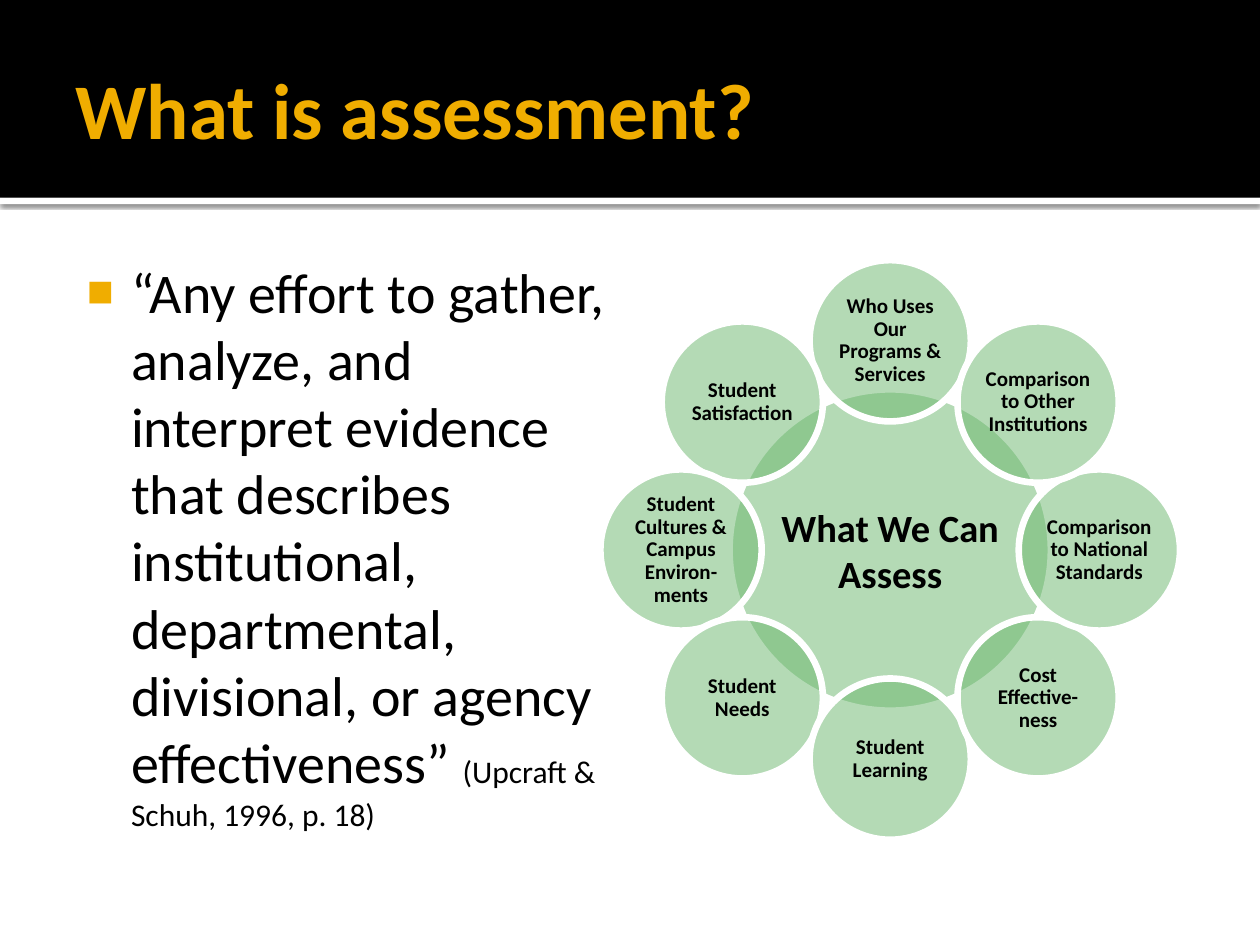
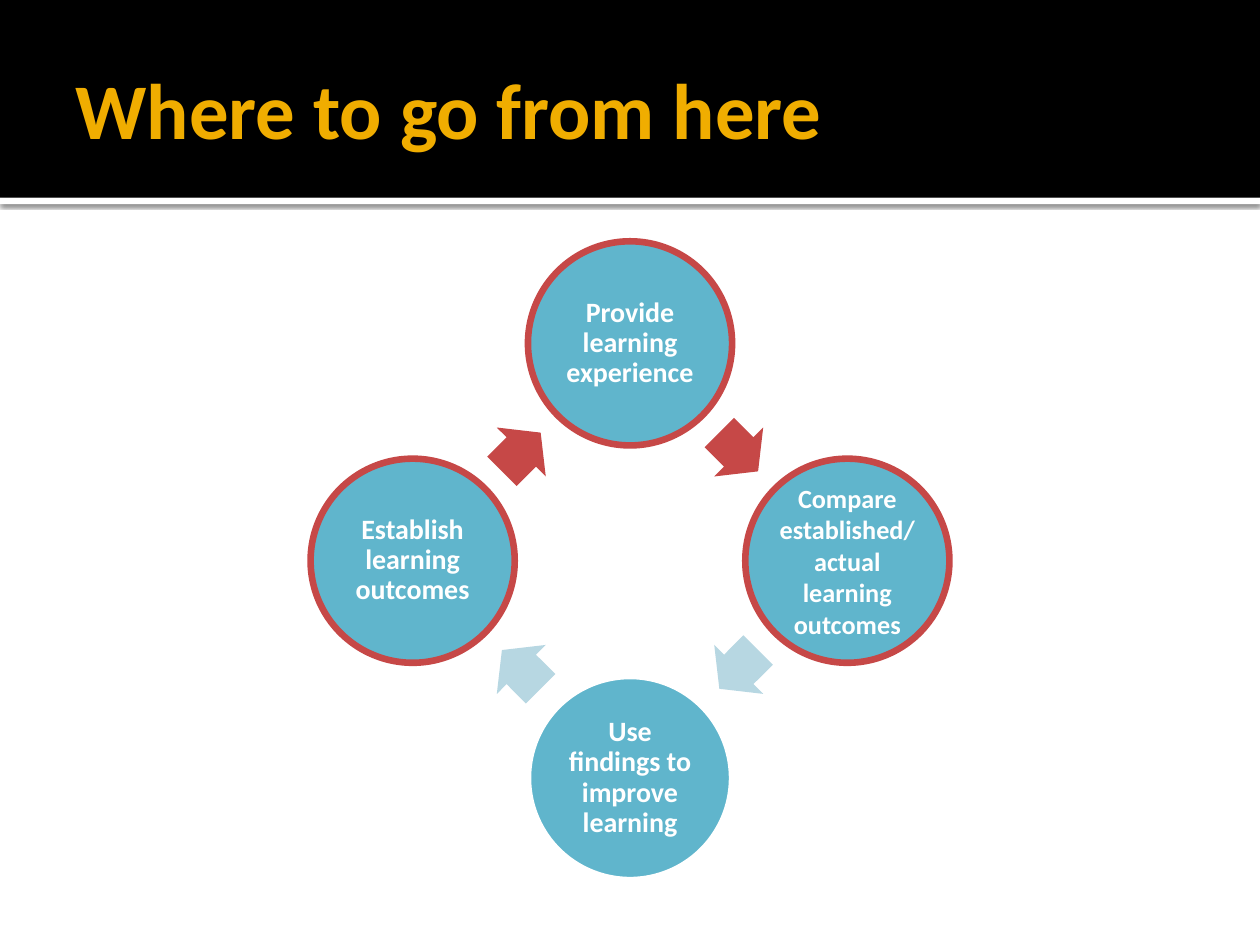
"""Build two slides on assessment: a ring of topics and a cycle of steps."""
from dataclasses import dataclass
from math import cos, radians, sin
from typing import Optional

from lxml.etree import SubElement
from pptx import Presentation
from pptx.dml.color import RGBColor
from pptx.enum.shapes import MSO_SHAPE
from pptx.enum.text import MSO_ANCHOR, MSO_AUTO_SIZE, PP_ALIGN
from pptx.oxml.ns import qn
from pptx.util import Inches, Pt

BLACK = RGBColor(0x00, 0x00, 0x00)
WHITE = RGBColor(0xFF, 0xFF, 0xFF)
GOLD = RGBColor(0xF0, 0xAD, 0x00)
GREEN = RGBColor(0x6B, 0xB7, 0x6D)
BLUE = RGBColor(0x60, 0xB5, 0xCC)
PALE = RGBColor(0xB7, 0xD7, 0xE2)
RED = RGBColor(0xC6, 0x48, 0x47)

FONT = "Calibri"
COLS, ROWS = 100, 75
WIDTH, HEIGHT = Inches(10), Inches(7.5)
EDGE = 3.78


@dataclass(frozen=True)
class Box:
    """A place on the grid, in columns and rows."""
    left: float
    top: float
    width: float
    height: float

    def spot(self) -> tuple[int, int, int, int]:
        """Give left, top, width and height as lengths."""
        return (int(WIDTH * self.left / COLS), int(HEIGHT * self.top / ROWS),
                int(WIDTH * self.width / COLS), int(HEIGHT * self.height / ROWS))


@dataclass(frozen=True)
class Ring:
    """A circle on the grid along which shapes are set."""
    x: float
    y: float
    radius: float

    def box(self, angle: float, width: float, height: float) -> Box:
        """Give the box centred at a clockwise angle from the top."""
        turn = radians(angle)
        return Box(self.x + self.radius * sin(turn) - width / 2,
                   self.y - self.radius * cos(turn) - height / 2, width, height)


@dataclass(frozen=True)
class Look:
    """The colours and type of a disc."""
    fill: RGBColor
    line: RGBColor
    ink: RGBColor
    size: float
    space: float = 0.9
    alpha: Optional[int] = None


@dataclass(frozen=True)
class Step:
    """A disc of the cycle and the colour of the arrow after it."""
    text: str
    look: Look
    arrow: RGBColor


TITLE = Box(5, 1.7, 90, 13.7)
BODY = Box(5, 19.4, 45, 50.6)
BAND = Box(0, 0, COLS, 15.7)
RULE = Box(0, 15.7, COLS, 0.5)

HUB = Ring(70.65, 43.65, 0)
PETALS = Ring(70.65, 43.65, 16.6)
TOPIC = Look(GREEN, WHITE, BLACK, 12, alpha=50)
CORE = Look(GREEN, WHITE, BLACK, 22, 1, 50)
TOPICS = (
    "Who Uses Our Programs & Services",
    "Student Satisfaction",
    "Student Cultures & Campus Environ-ments",
    "Student Needs",
    "Student Learning",
    "Cost Effective-ness",
    "Comparison to National Standards",
    "Comparison to Other Institutions",
)

CYCLE = Ring(50, 44.5, 17.25)
GAPS = Ring(50, 44.5, 12.2)
DONE = Look(BLUE, RED, WHITE, 16)
DENSE = Look(BLUE, RED, WHITE, 15, 1)
NEXT = Look(BLUE, WHITE, WHITE, 16)
STEPS = (
    Step("Provide learning experience", DONE, RED),
    Step("Compare established/\nactual learning outcomes", DENSE, PALE),
    Step("Use findings to improve learning", NEXT, PALE),
    Step("Establish learning outcomes", DONE, RED),
)


def pad(frame, left: float, top: float, right: float, bottom: float) -> None:
    """Set the insets of a text frame in inches."""
    frame.margin_left, frame.margin_top = Inches(left), Inches(top)
    frame.margin_right, frame.margin_bottom = Inches(right), Inches(bottom)
    frame.word_wrap = True
    frame.auto_size = MSO_AUTO_SIZE.NONE


def style(font, size: float, ink: RGBColor, bold: bool) -> None:
    """Set face, size, colour and weight."""
    font.name, font.size, font.bold = FONT, Pt(size), bold
    font.color.rgb = ink


def place(shape, box: Box) -> None:
    """Move a placeholder to a box."""
    shape.left, shape.top, shape.width, shape.height = box.spot()


def draw(slide, kind: MSO_SHAPE, box: Box, fill: RGBColor):
    """Add a flat shape with no outline."""
    shape = slide.shapes.add_shape(kind, *box.spot())
    shape.shadow.inherit = False
    shape.fill.solid()
    shape.fill.fore_color.rgb = fill
    shape.line.fill.background()
    return shape


def tint(parent, color: RGBColor, alpha: int) -> None:
    """Add a colour with an opacity in percent to an XML element."""
    tone = SubElement(parent, qn("a:srgbClr"), val=str(color))
    SubElement(tone, qn("a:alpha"), val=str(alpha * 1000))


def disc(slide, box: Box, text: str, look: Look) -> None:
    """Add a circle with centred bold text."""
    shape = draw(slide, MSO_SHAPE.OVAL, box, look.fill)
    shape.line.color.rgb = look.line
    shape.line.width = Pt(EDGE)
    if look.alpha is not None:
        solid = shape.element.spPr.find(qn("a:solidFill"))
        solid.remove(solid[0])
        tint(solid, look.fill, look.alpha)
    frame = shape.text_frame
    pad(frame, 0.02, 0.02, 0.02, 0.02)
    frame.vertical_anchor = MSO_ANCHOR.MIDDLE
    frame.text = text
    for para in frame.paragraphs:
        para.alignment = PP_ALIGN.CENTER
        para.line_spacing = look.space
        style(para.font, look.size, look.ink, True)


def dress(deck, slide) -> None:
    """Move the title band and its shaded rule to the master."""
    rule = draw(slide, MSO_SHAPE.RECTANGLE, RULE, WHITE)
    effects = rule.element.spPr.find(qn("a:effectLst"))
    shade = SubElement(effects, qn("a:outerShdw"), blurRad=str(Pt(2.5)),
                       dist=str(Pt(0.8)), dir="5400000", rotWithShape="0")
    tint(shade, BLACK, 60)
    band = draw(slide, MSO_SHAPE.RECTANGLE, BAND, BLACK)
    tree = deck.slide_master.element.cSld.spTree
    for depth, shape in enumerate((rule, band), start=2):
        tree.insert(depth, shape.element)


def start(deck, layout: int, title: str):
    """Add a slide with a formatted title."""
    slide = deck.slides.add_slide(deck.slide_layouts[layout])
    head = slide.shapes.title
    place(head, TITLE)
    frame = head.text_frame
    pad(frame, 0.1, 0.05, 0.05, 0.05)
    frame.vertical_anchor = MSO_ANCHOR.MIDDLE
    frame.text = title
    para = frame.paragraphs[0]
    para.alignment = PP_ALIGN.LEFT
    style(para.font, 45, GOLD, True)
    return slide


def quote(slide) -> None:
    """Fill the body with the bulleted definition and its source."""
    body = slide.placeholders[1]
    place(body, BODY)
    frame = body.text_frame
    pad(frame, 0.06, 0.1, 0.1, 0.05)
    para = frame.paragraphs[0]
    para.space_before = Pt(0)
    props = para._p.get_or_add_pPr()
    props.set("marL", str(Inches(0.48)))
    props.set("indent", str(Inches(-0.35)))
    color = SubElement(props, qn("a:buClr"))
    SubElement(color, qn("a:srgbClr"), val=str(GOLD))
    SubElement(props, qn("a:buSzPct"), val="80000")
    SubElement(props, qn("a:buChar"), char="■")
    parts = (
        ("“Any effort to gather, analyze, and interpret evidence that describes "
         "institutional, departmental, divisional, or agency effectiveness” ", 32),
        ("(Upcraft & Schuh, 1996, p. 18)", 18),
    )
    for text, size in parts:
        run = para.add_run()
        run.text = text
        style(run.font, size, BLACK, False)


def bloom(slide) -> None:
    """Draw the hub and its ring of topics, counterclockwise from the top."""
    disc(slide, HUB.box(0, 25.5, 25.5), "What We Can Assess", CORE)
    for i, topic in enumerate(TOPICS):
        disc(slide, PETALS.box(-360 * i / len(TOPICS), 12.8, 12.8), topic, TOPIC)


def loop(slide) -> None:
    """Draw the steps clockwise with an arrow after each."""
    turn = 360 / len(STEPS)
    for i, step in enumerate(STEPS):
        disc(slide, CYCLE.box(turn * i, 16.2, 16.2), step.text, step.look)
        angle = turn * (i + 0.5)
        arrow = draw(slide, MSO_SHAPE.RIGHT_ARROW, GAPS.box(angle, 4.35, 5.5), step.arrow)
        arrow.adjustments[0], arrow.adjustments[1] = 0.6, 0.5
        arrow.rotation = angle


def main() -> None:
    """Build and save the deck."""
    deck = Presentation()
    deck.slide_width, deck.slide_height = WIDTH, HEIGHT
    first = start(deck, 1, "What is assessment?")
    dress(deck, first)
    quote(first)
    bloom(first)
    loop(start(deck, 5, "Where to go from here"))
    deck.save("out.pptx")


if __name__ == "__main__":
    main()
